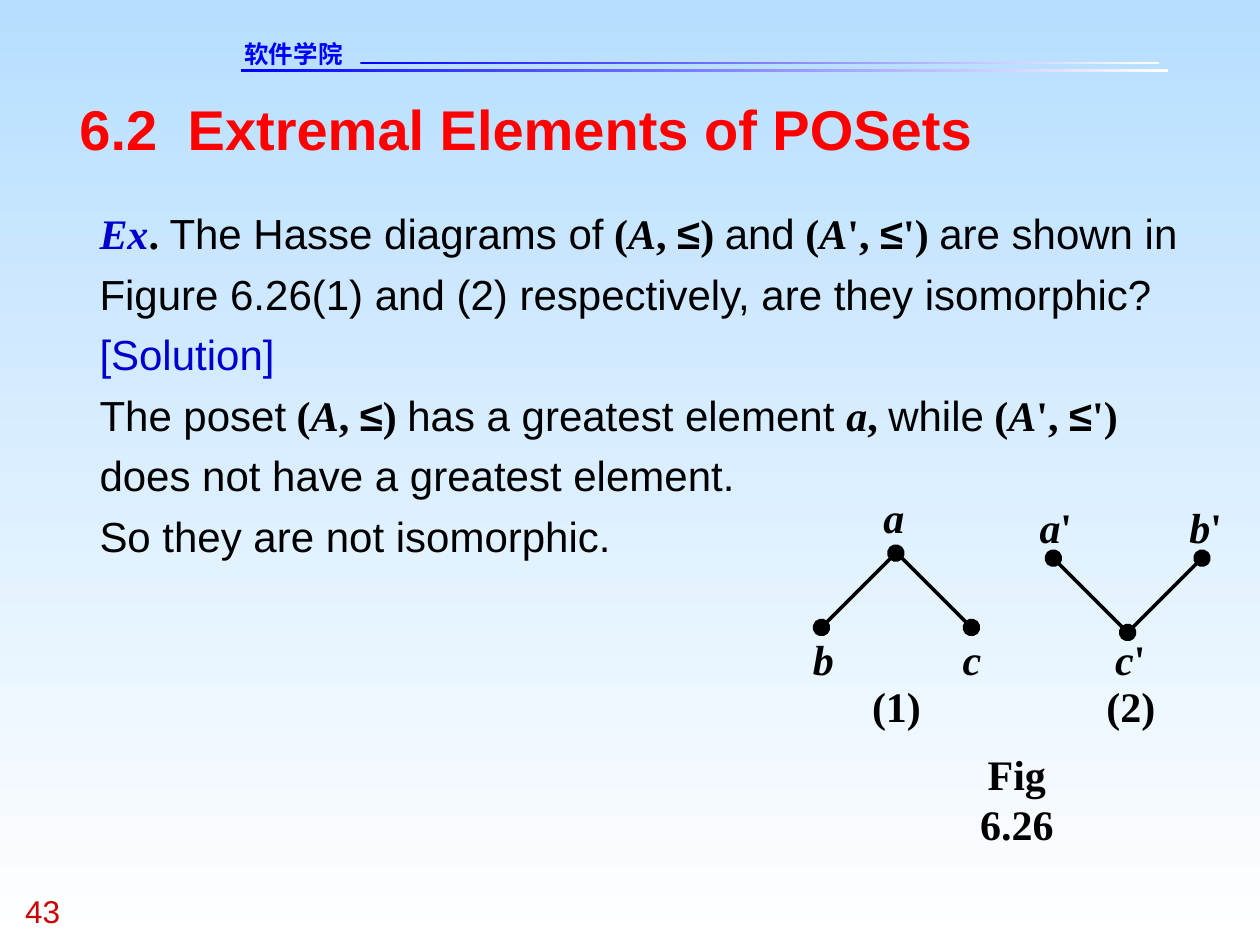
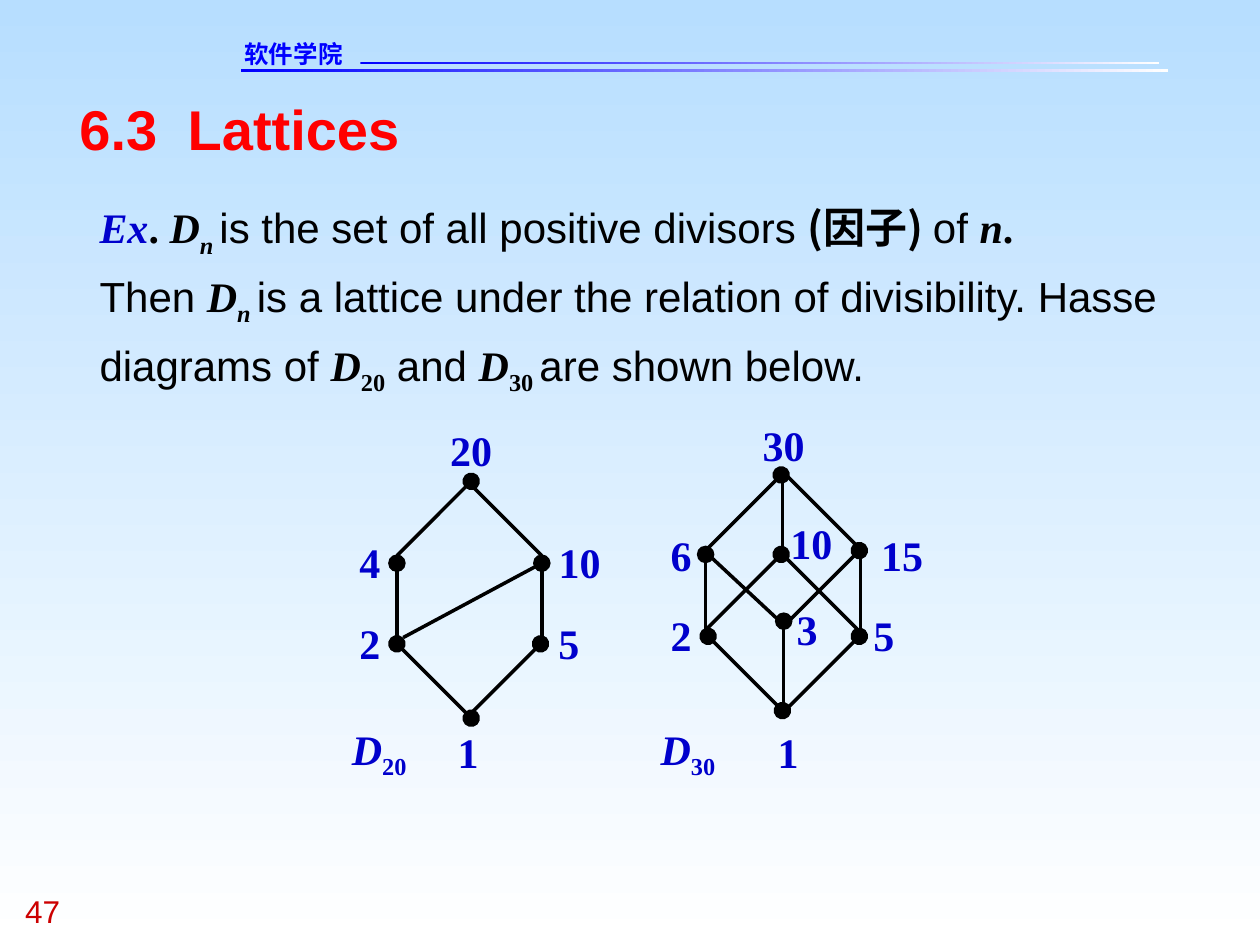
from lxml import etree
from pptx import Presentation
from pptx.dml.color import RGBColor
from pptx.enum.shapes import MSO_CONNECTOR, MSO_SHAPE
from pptx.enum.text import MSO_AUTO_SIZE, PP_ALIGN
from pptx.oxml.ns import qn
from pptx.util import Inches, Pt

LEFT, CENTER = PP_ALIGN.LEFT, PP_ALIGN.CENTER
FIT_SHAPE = MSO_AUTO_SIZE.SHAPE_TO_FIT_TEXT
RECTANGLE = MSO_SHAPE.RECTANGLE
STRAIGHT = MSO_CONNECTOR.STRAIGHT

SANS, SERIF, HAN, BANNER = "Arial", "Times New Roman", "Noto Sans CJK SC", "DejaVu Sans"
BLACK, WHITE, SKY = "000000", "FFFFFF", "B7DEFF"
BLUE, BRIGHT_BLUE, RED, DARK_RED = "0000CC", "0000FF", "FF0000", "CC0000"

PLAIN = dict(font=SANS)
BOLD = dict(font=SERIF, bold=True)
SYMBOL = dict(font=SANS, bold=True)
HANZI = dict(font=HAN, bold=True)
VAR = dict(BOLD, italic=True)
SUB = dict(BOLD, sub=True)
VAR_SUB = dict(VAR, sub=True)
EXAMPLE = [("Ex", dict(VAR, color=BLUE)), (". ", BOLD)]
POSET = [(" (", BOLD), ("A", VAR), (", ", BOLD), ("≤", SYMBOL), (") ", BOLD)]
POSET_PRIME = [(" (", BOLD), ("A", VAR), ("', ", BOLD), ("≤", SYMBOL), ("') ", BOLD)]


def rgb(value):
    return RGBColor.from_string(value)


class Deck:
    def __init__(self):
        self.prs = Presentation()
        self.prs.slide_width, self.prs.slide_height = Inches(10), Inches(7.5)
        self.s = None

    def gradient(self, fill, start, end, angle):
        fill.gradient()
        fill.gradient_angle = angle
        for stop, color in zip(fill.gradient_stops, (start, end)):
            stop.color.rgb = rgb(color)

    def slide(self, number, section, title):
        self.s = self.prs.slides.add_slide(self.prs.slide_layouts[6])
        self.gradient(self.s.background.fill, SKY, WHITE, 270)
        self.bar(1.91, 0.55, 7.36)
        self.bar(2.86, 0.49, 6.34)
        self.text(1.94, 0.31, 1.45, 0.23,
                  [[("软件学院", dict(font=BANNER, bold=True, size=14, color=BRIGHT_BLUE))]])
        self.text(0.2, 7.08, 0.75, 0.3, [[(number, dict(PLAIN, size=18, color=DARK_RED))]])
        heading = dict(SYMBOL, size=32, color=RED)
        self.text(0.63, 0.75, 8.75, 0.53, [[(f"{section}\t{title}", heading)]], tab=0.86)

    def bar(self, x, y, w):
        sp = self.s.shapes.add_shape(RECTANGLE, Inches(x), Inches(y), Inches(w), Inches(0.02))
        sp.shadow.inherit = False
        sp.line.fill.background()
        self.gradient(sp.fill, BRIGHT_BLUE, WHITE, 0)

    def text(self, x, y, w, h, paragraphs, align=LEFT, spacing=None, wrap=True, tab=None):
        sp = self.s.shapes.add_textbox(Inches(x), Inches(y), Inches(w), Inches(h))
        tf = sp.text_frame
        tf.margin_left = tf.margin_right = tf.margin_top = tf.margin_bottom = 0
        tf.word_wrap = wrap
        tf.auto_size = FIT_SHAPE
        for i, runs in enumerate(paragraphs):
            p = tf.add_paragraph() if i else tf.paragraphs[0]
            p.alignment = align
            if spacing:
                p.line_spacing = spacing
            if tab:
                tabs = etree.SubElement(p._p.get_or_add_pPr(), qn("a:tabLst"))
                etree.SubElement(tabs, qn("a:tab"), pos=str(Inches(tab)), algn="l")
            for content, style in runs:
                self.run(p, content, **style)

    def run(self, p, content, font, size=24, color=BLACK, bold=False, italic=False, sub=False):
        r = p.add_run()
        r.text = content
        r.font.size, r.font.bold, r.font.italic = Pt(size), bold, italic
        r.font.color.rgb = rgb(color)
        r.font.name = font
        rPr = r._r.get_or_add_rPr()
        etree.SubElement(rPr, qn("a:ea"), typeface=HAN)
        if sub:
            rPr.set("baseline", "-25000")

    def body(self, y, h, paragraphs):
        self.text(0.79, y, 8.76, h, paragraphs, spacing=1.2)

    def label(self, x, y, w, runs, h=0.4, wrap=False):
        self.text(x, y, w, h, [runs], align=CENTER, wrap=wrap)

    def edge(self, x1, y1, x2, y2, dots=()):
        sp = self.s.shapes.add_connector(STRAIGHT, Inches(x1), Inches(y1), Inches(x2), Inches(y2))
        sp.line.width = Pt(2)
        sp.line.color.rgb = rgb(BLACK)
        spPr = sp._element.spPr
        ln = spPr.find(qn("a:ln"))
        for dot in dots:
            etree.SubElement(ln, qn(f"a:{dot}End"), type="oval", w="lg", len="lg")
        etree.SubElement(spPr, qn("a:effectLst"))


HEAD, TAIL, BOTH = ("head",), ("tail",), ("head", "tail")


def extremal_elements(deck):
    deck.slide("43", "6.2", "Extremal Elements of POSets")
    deck.body(1.57, 2.88, [
        EXAMPLE + [("The Hasse diagrams of", PLAIN)] + POSET + [("and", PLAIN)] + POSET_PRIME
        + [("are shown in Figure 6.26(1) and (2) respectively, are they isomorphic?", PLAIN)],
        [("[Solution]", dict(PLAIN, color=BLUE))],
        [("The poset", PLAIN)] + POSET
        + [("has a greatest element ", PLAIN), ("a", VAR), (", ", BOLD), ("while", PLAIN)]
        + POSET_PRIME + [("does not have a greatest element.", PLAIN)],
        [("So they are not isomorphic.", PLAIN)],
    ])
    for edge in [
        (6.52, 4.98, 7.11, 4.39, BOTH), (7.71, 4.98, 7.12, 4.39, HEAD),
        (8.95, 5.02, 9.54, 4.43, TAIL), (8.95, 5.02, 8.36, 4.43, BOTH),
    ]:
        deck.edge(*edge)
    for x, y, w, name in [(7.01, 3.9, 0.17, "a"), (6.45, 5.03, 0.17, "b"), (7.64, 5.03, 0.15, "c")]:
        deck.label(x, y, w, [(name, VAR)])
    for x, y, w, name in [(8.25, 3.98, 0.26, "a"), (9.44, 3.98, 0.26, "b"), (8.85, 5.03, 0.24, "c")]:
        deck.label(x, y, w, [(name, VAR), ("'", BOLD)])
    for x, caption in [(6.92, "(1)"), (8.78, "(2)")]:
        deck.label(x, 5.4, 0.39, [(caption, BOLD)])
    deck.label(7.52, 5.94, 1.1, [("Fig 6.26", BOLD)], h=0.8, wrap=True)


def lattices(deck):
    deck.slide("47", "6.3", "Lattices")
    d_n = [("D", VAR), ("n ", VAR_SUB)]
    deck.body(1.51, 1.64, [
        EXAMPLE + d_n + [("is the set of all positive divisors ", PLAIN), ("(因子) ", HANZI),
                         ("of ", PLAIN), ("n", VAR), (".", BOLD)],
        [("Then ", PLAIN)] + d_n
        + [("is a lattice under the relation of divisibility. Hasse diagrams of ", PLAIN),
           ("D", VAR), ("20", SUB), (" and ", PLAIN), ("D", VAR), ("30 ", SUB),
           ("are shown below.", PLAIN)],
    ])
    d20_edges = [
        (3.7, 5.7, 4.29, 5.11, TAIL), (3.74, 5.7, 3.15, 5.11, BOTH),
        (3.15, 5.06, 3.15, 4.47, TAIL), (4.3, 5.06, 4.3, 4.47, TAIL),
        (3.15, 4.41, 3.74, 3.82, TAIL), (4.3, 4.41, 3.71, 3.82),
        (3.2, 5.06, 4.3, 4.47),
    ]
    d30_edges = [
        (6.23, 5.64, 6.82, 5.05, TAIL), (6.21, 5.64, 5.62, 5.05, BOTH),
        (6.22, 5.64, 6.22, 4.93, TAIL), (6.8, 4.99, 6.21, 4.4),
        (5.61, 4.99, 6.2, 4.4, TAIL), (6.21, 4.95, 5.62, 4.4),
        (5.6, 4.99, 5.6, 4.4, TAIL), (6.83, 4.99, 6.83, 4.4),
        (6.83, 4.36, 6.24, 3.77), (5.61, 4.36, 6.2, 3.77, TAIL),
        (6.23, 4.96, 6.82, 4.37, TAIL), (6.21, 4.37, 6.21, 3.78),
    ]
    for edge in d20_edges + d30_edges:
        deck.edge(*edge)
    d20_divisors = [(3.63, 5.77, "1"), (2.85, 4.9, "2"), (2.85, 4.26, "4"),
                    (4.43, 4.9, "5"), (4.43, 4.26, "10"), (3.57, 3.37, "20")]
    d30_divisors = [(6.17, 5.77, "1"), (5.32, 4.84, "2"), (6.32, 4.79, "3"), (6.93, 4.84, "5"),
                    (5.32, 4.2, "6"), (6.27, 4.11, "10"), (6.99, 4.2, "15"), (6.05, 3.33, "30")]
    for x, y, divisor in d20_divisors + d30_divisors:
        deck.label(x, y, 0.17 * len(divisor), [(divisor, dict(BOLD, color=BLUE))])
    for x, n in [(2.78, "20"), (5.23, "30")]:
        deck.label(x, 5.74, 0.46, [("D", dict(VAR, color=BLUE)), (n, dict(SUB, color=BLUE))], h=0.46)


def main():
    deck = Deck()
    extremal_elements(deck)
    lattices(deck)
    deck.prs.save("out.pptx")


if __name__ == "__main__":
    main()
